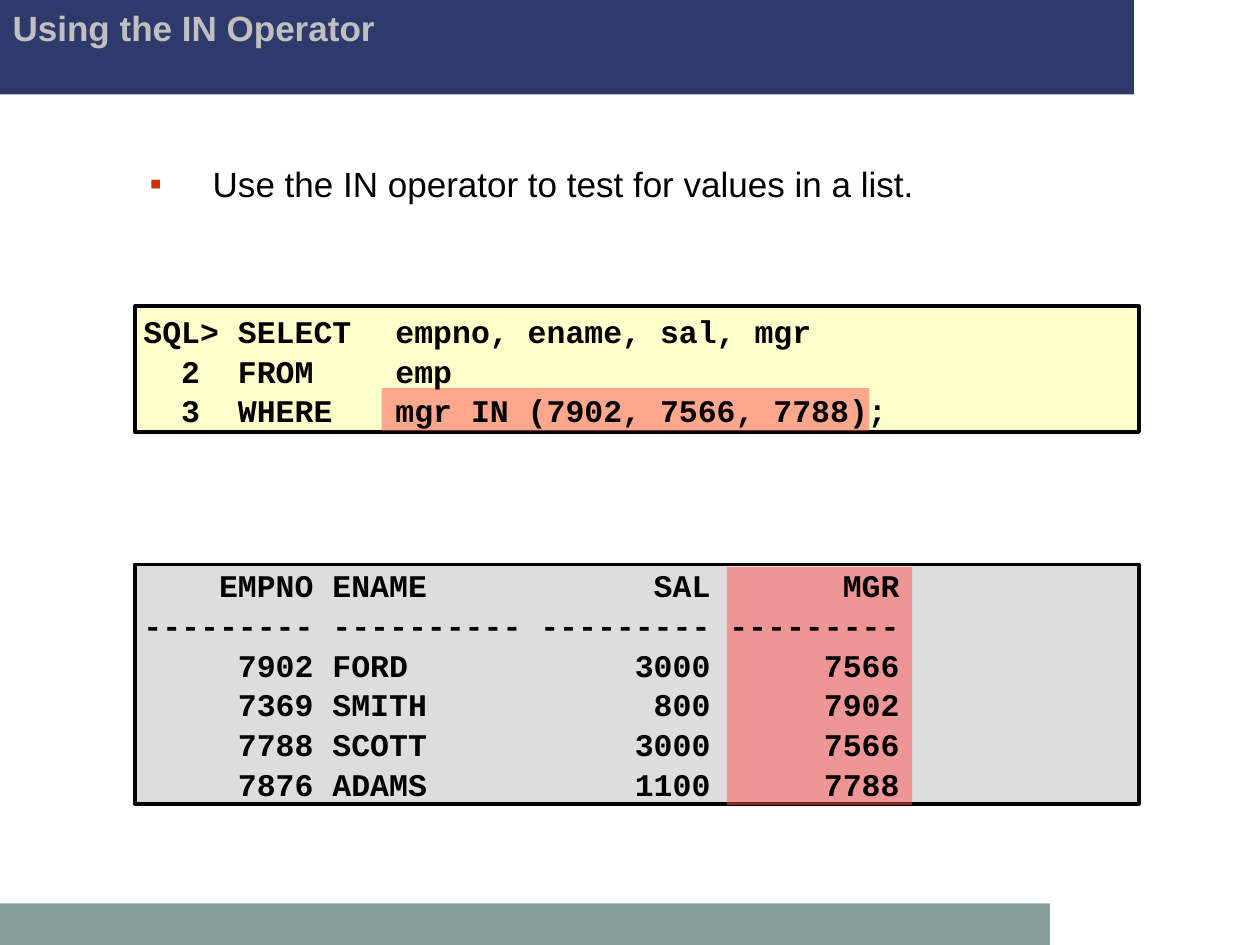
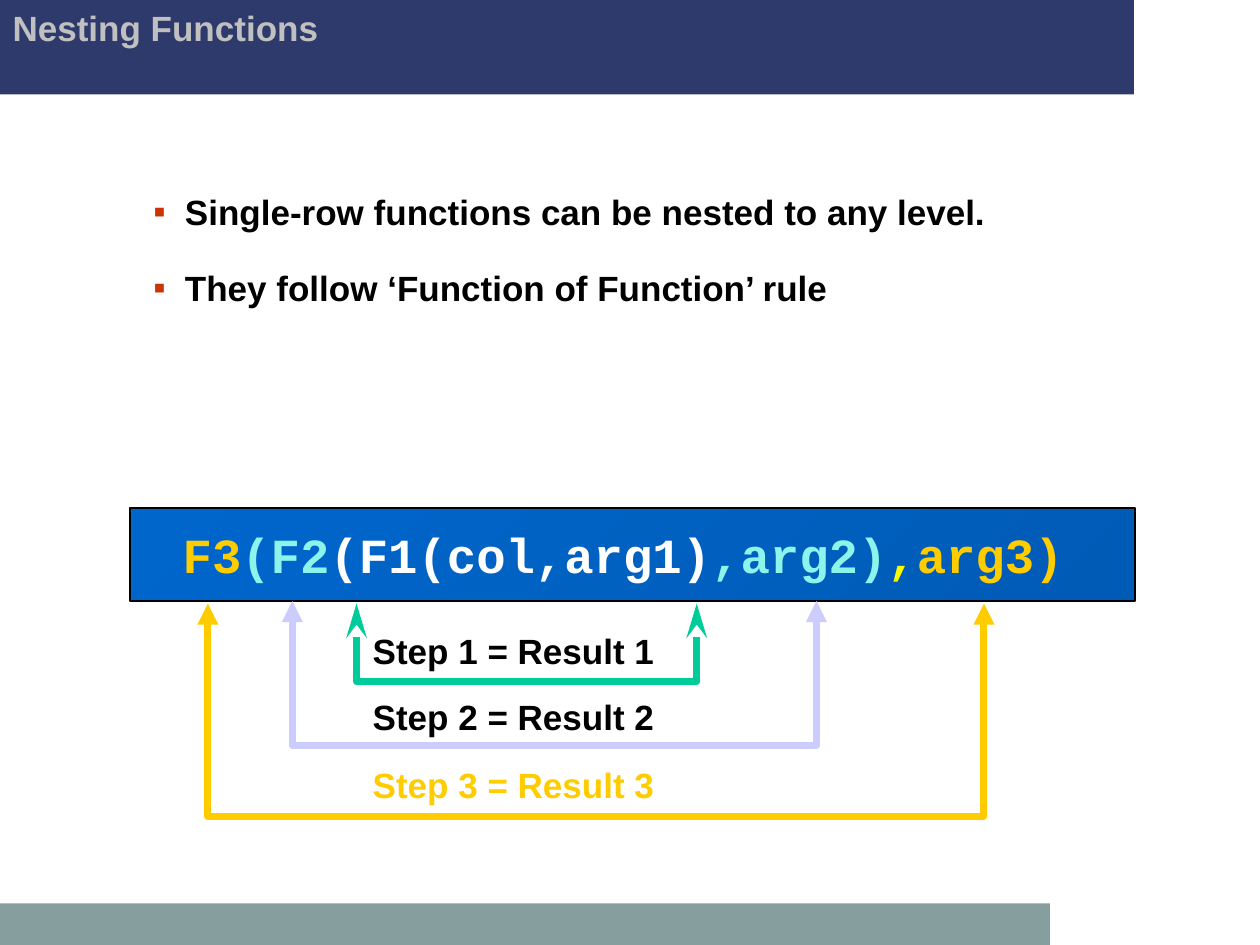
from lxml import etree
from pptx import Presentation, util as u
from pptx.dml.color import RGBColor
from pptx.enum import shapes, text
from pptx.oxml import ns

# Content
IN_TITLE = "Using the IN Operator"
IN_POINTS = ["Use the IN operator to test for values in a list."]
QUERY = [
    "SQL> SELECT\tempno, ename, sal, mgr",
    "  2  FROM \temp",
    "  3  WHERE\tmgr IN (7902, 7566, 7788);",
]
RESULT = [
    "    EMPNO ENAME            SAL       MGR",
    "--------- ---------- --------- ---------",
    "     7902 FORD            3000      7566",
    "     7369 SMITH            800      7902",
    "     7788 SCOTT           3000      7566",
    "     7876 ADAMS           1100      7788",
]
NEST_TITLE = "Nesting Functions"
NEST_POINTS = [
    "Single-row functions can be nested to any level.",
    "They follow ‘Function of Function’ rule",
]
FORMULA = [("F3", "gold"), ("(F2", "aqua"), ("(F1(col,arg1)", "white"),
           (",arg2)", "aqua"), (",", "yellow"), ("arg3)", "gold")]
# label, label colour, label top, bracket colour, (left, top, right, bottom), arrowhead, its length
STEPS = [
    ("Step 3 = Result 3", "gold", 6.01, "gold", (1.65, 4.79, 7.81, 6.48), "triangle", "med"),
    ("Step 2 = Result 2", "black", 5.47, "lilac", (2.32, 4.77, 6.48, 5.92), "triangle", "med"),
    ("Step 1 = Result 1", "black", 4.95, "green", (2.83, 4.79, 5.53, 5.41), "stealth", "lg"),
]

# Shared style
COLORS = {
    "navy": "2E3A6C", "sage": "879E9E", "silver": "C0C0C0", "black": "000000",
    "white": "FFFFFF", "cream": "FFFFCC", "grey": "DDDDDD", "rose": "FF5050",
    "bullet": "CC3300", "blue": "0066CC", "deep": "005BB6", "gold": "FFCC00",
    "aqua": "8CF4EA", "yellow": "FAFD00", "lilac": "CCCCFF", "green": "00CC99",
}
SANS, MONO = "Arial", "Courier New"
WIDTH, HEIGHT = 10, 7.5
BANDS = [("navy", (0, 0, 0.9 * WIDTH, 0.1 * HEIGHT)),
         ("sage", (0, 7.17, WIDTH * 5 / 6, 0.33))]


def rgb(name):
    return RGBColor.from_string(COLORS[name])


def inches(values):
    return [u.Inches(v) for v in values]


def add_xml(parent, tag, **attributes):
    return etree.SubElement(parent, ns.qn(tag), attributes)


def add_box(slide, place, fill, line=None, alpha=None):
    box = slide.shapes.add_shape(shapes.MSO_SHAPE.RECTANGLE, *inches(place))
    box.shadow.inherit = False
    if fill:
        box.fill.solid()
        box.fill.fore_color.rgb = rgb(fill)
    if alpha:
        color = box.fill._xPr.find(ns.qn("a:solidFill"))[0]
        add_xml(color, "a:alpha", val=str(alpha * 1000))
    if line:
        box.line.color.rgb = rgb("black")
        box.line.width = u.Pt(line)
    else:
        box.line.fill.background()
    return box


def add_run(paragraph, words, color, size=20, font=SANS, bold=True):
    run = paragraph.add_run()
    run.text = words
    run.font.name, run.font.size, run.font.bold = font, u.Pt(size), bold
    run.font.color.rgb = rgb(color)


def add_text(slide, place, wrap=True):
    frame = slide.shapes.add_textbox(*inches(place)).text_frame
    frame.word_wrap = wrap
    return frame


def paragraphs(frame, lines):
    for number, line in enumerate(lines):
        yield (frame.add_paragraph() if number else frame.paragraphs[0]), line


def add_points(slide, place, points, margin, hang, spacing, bold):
    for number, (paragraph, point) in enumerate(paragraphs(add_text(slide, place), points)):
        paragraph.line_spacing = spacing
        if number:
            paragraph.space_before = u.Pt(5)
        props = paragraph._p.get_or_add_pPr()
        props.set("marL", str(u.Inches(margin)))
        props.set("indent", str(-u.Inches(hang)))
        add_xml(add_xml(props, "a:buClr"), "a:srgbClr", val=COLORS["bullet"])
        add_xml(props, "a:buFont", typeface=SANS)
        add_xml(props, "a:buChar", char="▪")
        add_run(paragraph, point, "black", bold=bold)


def add_code(slide, place, lines):
    frame = add_text(slide, place)
    frame.vertical_anchor = text.MSO_ANCHOR.MIDDLE
    for paragraph, line in paragraphs(frame, lines):
        paragraph.line_spacing = 1.05
        tabs = add_xml(paragraph._p.get_or_add_pPr(), "a:tabLst")
        add_xml(tabs, "a:tab", pos=str(u.Inches(2)), algn="l")
        add_run(paragraph, line, "black", 18, MONO)


def add_bracket(slide, color, edges, arrow, length):
    left, top, right, bottom = edges
    corners = [inches(c) for c in ((left, bottom), (right, bottom), (right, top))]
    builder = slide.shapes.build_freeform(u.Inches(left), u.Inches(top))
    builder.add_line_segments(corners, close=False)
    bracket = builder.convert_to_shape()
    bracket.shadow.inherit = False
    bracket.fill.background()
    bracket.line.color.rgb = rgb(color)
    bracket.line.width = u.Pt(4)
    line = bracket.line._get_or_add_ln()
    add_xml(line, "a:round")
    for end in ("a:headEnd", "a:tailEnd"):
        add_xml(line, end, type=arrow, w="med", len=length)


def add_slide(deck, heading):
    slide = deck.slides.add_slide(deck.slide_layouts[5])
    for color, place in BANDS:
        add_box(slide, place, color)
    title = slide.shapes.title
    title.left, title.top, title.width, title.height = inches((0, 0, 8.5, 0.75))
    slide.shapes._spTree.append(title.element)  # bring in front of the bands
    frame = title.text_frame
    frame.vertical_anchor = text.MSO_ANCHOR.TOP
    frame.paragraphs[0].alignment = text.PP_ALIGN.LEFT
    add_run(frame.paragraphs[0], heading, "silver")
    return slide


def build_in_operator(deck):
    slide = add_slide(deck, IN_TITLE)
    add_points(slide, (0.97, 1.21, 8.03, 0.47), IN_POINTS, 0.62, 0.5, 1.1, False)
    # Panels, then highlights, then the code over them
    add_box(slide, (1.07, 2.43, 7.97, 1), "cream", 2)
    add_box(slide, (1.07, 4.48, 7.97, 1.9), "grey", 2)
    add_box(slide, (3.03, 3.08, 3.87, 0.34), "rose", alpha=50)
    add_box(slide, (5.77, 4.5, 1.47, 1.89), "rose", alpha=50)
    add_code(slide, (1.04, 2.42, 8, 1.03), QUERY)
    add_code(slide, (1.04, 4.46, 8, 1.93), RESULT)


def build_nesting(deck):
    slide = add_slide(deck, NEST_TITLE)
    add_points(slide, (1, 1.26, 8, 1.24), NEST_POINTS, 0.37, 0.25, 1.6, True)
    # Formula bar
    bar = add_box(slide, (1.03, 4.03, 7.98, 0.74), None, 1)
    bar.fill.gradient()
    bar.fill.gradient_angle = 135
    for stop, color in zip(bar.fill.gradient_stops, ("deep", "blue")):
        stop.color.rgb = rgb(color)
    frame = bar.text_frame
    frame.margin_left = u.Inches(0.42)
    frame.vertical_anchor = text.MSO_ANCHOR.MIDDLE
    frame.paragraphs[0].alignment = text.PP_ALIGN.LEFT
    for words, color in FORMULA:
        add_run(frame.paragraphs[0], words, color, 28, MONO)
    # Steps, outermost first
    for label, label_color, top, color, edges, arrow, length in STEPS:
        add_bracket(slide, color, edges, arrow, length)
        step = add_text(slide, (2.86, top, 2.44, 0.43), wrap=False)
        add_run(step.paragraphs[0], label, label_color)


def main():
    deck = Presentation()
    deck.slide_width, deck.slide_height = inches((WIDTH, HEIGHT))
    build_in_operator(deck)
    build_nesting(deck)
    deck.save("out.pptx")


if __name__ == "__main__":
    main()
